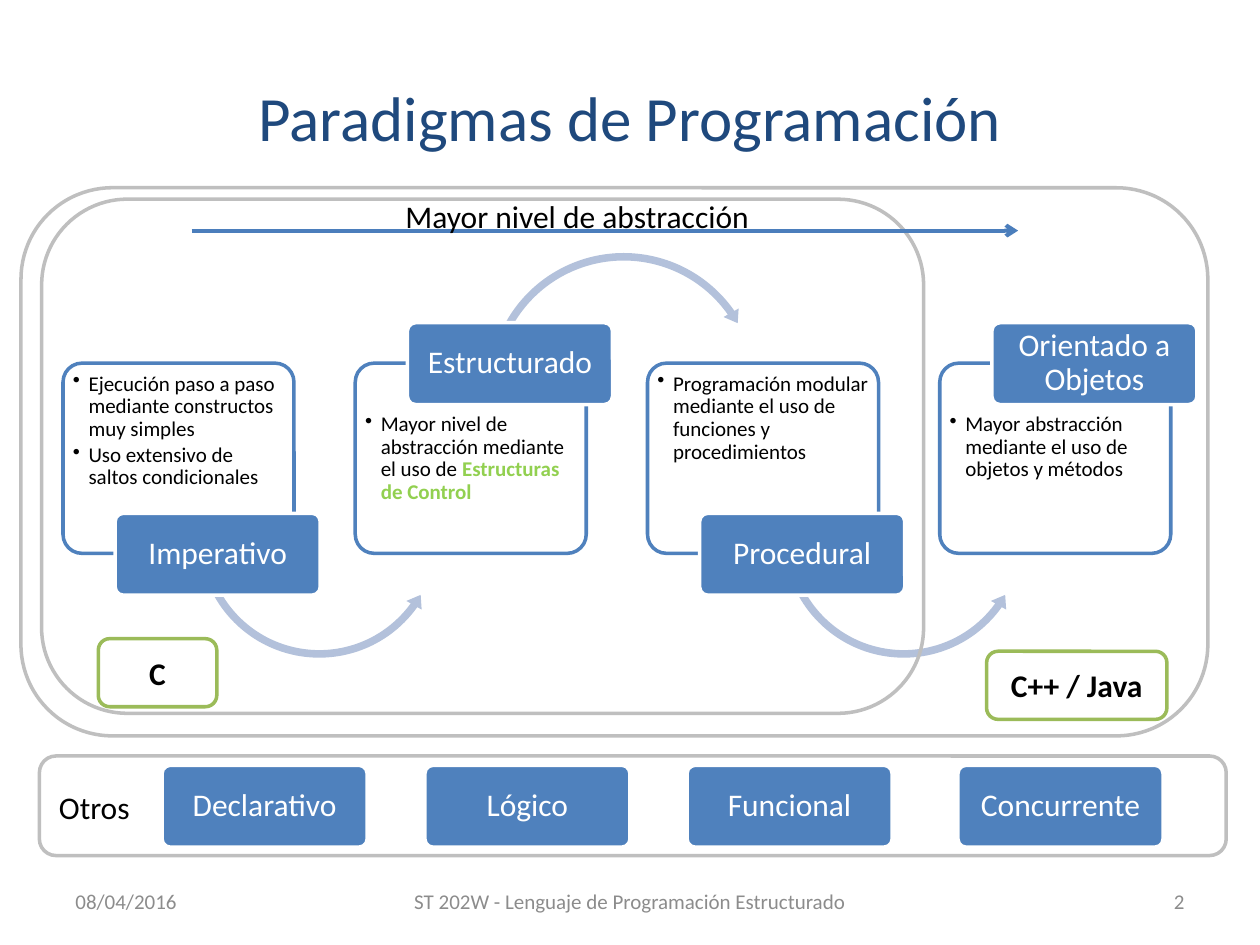
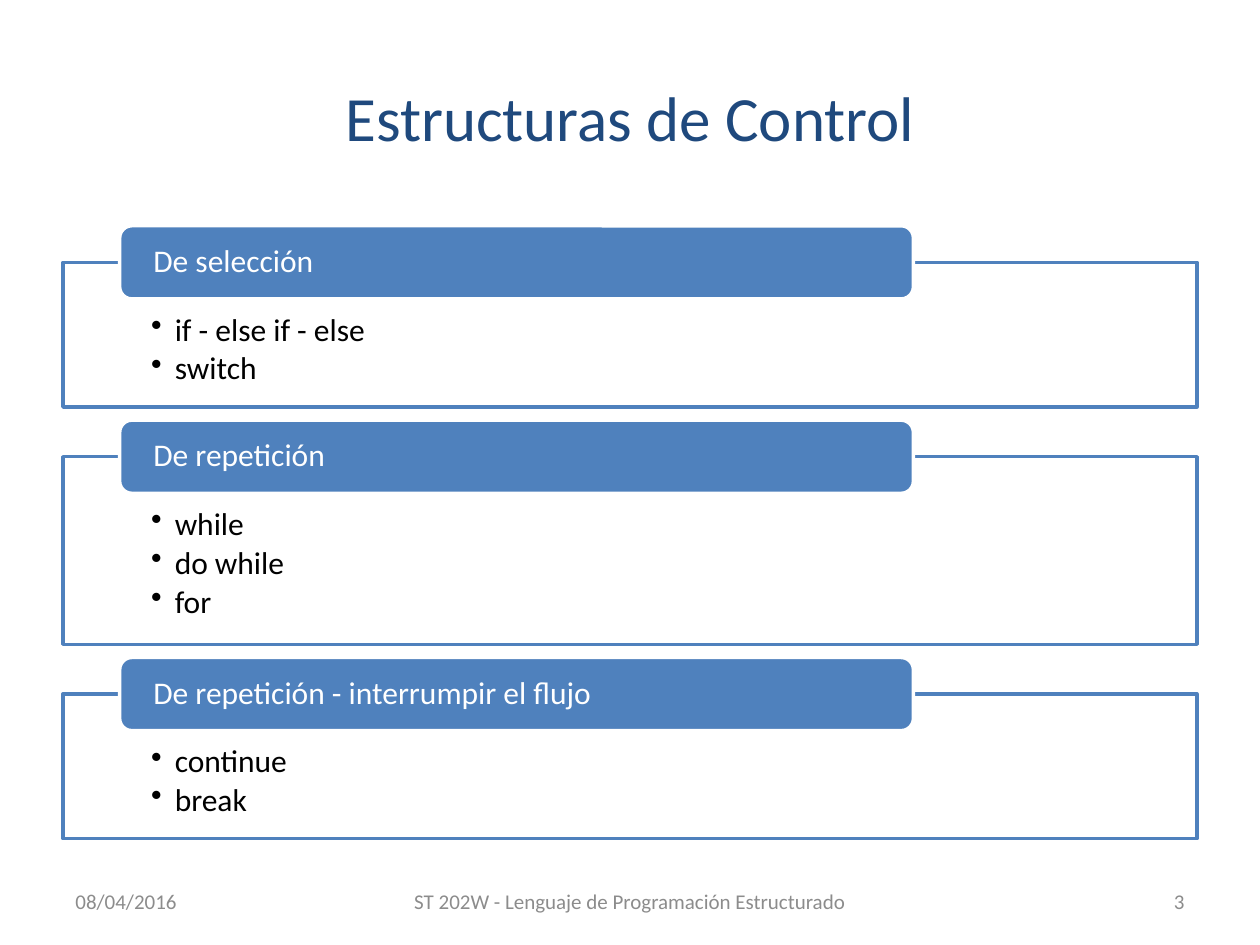
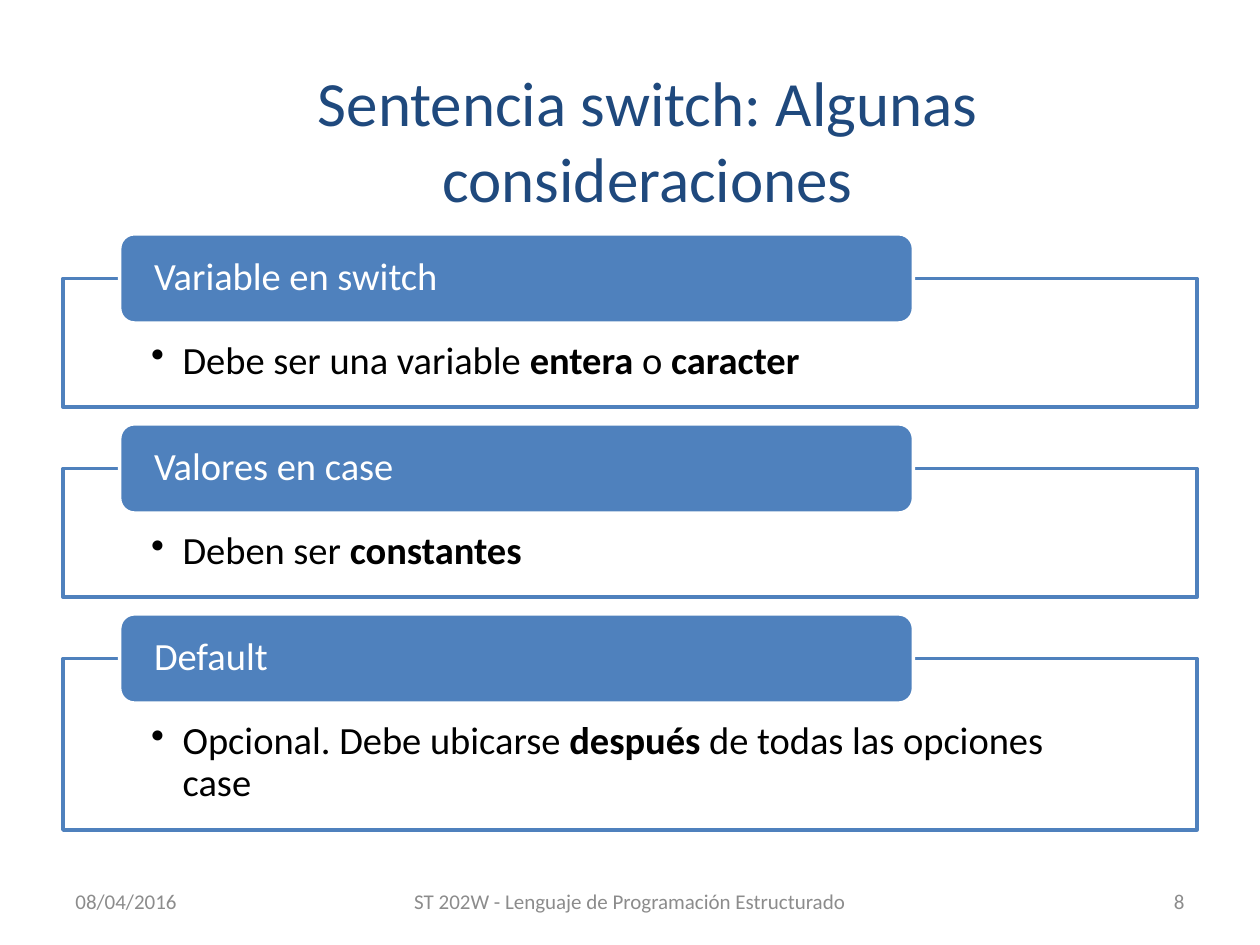
"""Build three slides on programming paradigms and control structures."""
from lxml.etree import SubElement
from pptx import Presentation
from pptx.dml.color import RGBColor
from pptx.enum.shapes import MSO_CONNECTOR, MSO_SHAPE
from pptx.enum.text import MSO_ANCHOR, PP_ALIGN
from pptx.oxml.ns import qn
from pptx.util import Pt

BLUE, NAVY, PALE = "4F81BD", "1F497D", "B3C1DB"
WHITE, BLACK, GREY, SILVER = "FFFFFF", "000000", "8C8C8C", "BFBFBF"
GREEN, LIME = "9BBB59", "92D050"
LEFT, MID, RIGHT = PP_ALIGN.LEFT, PP_ALIGN.CENTER, PP_ALIGN.RIGHT
ROUND = MSO_SHAPE.ROUNDED_RECTANGLE


def box(slide, kind, area, fill=None, line=None, adj=()):
    """Add a preset shape, or a text box when kind is None."""
    area = [Pt(n) for n in area]
    if kind is None:
        return slide.shapes.add_textbox(*area)
    shape = slide.shapes.add_shape(kind, *area)
    shape.shadow.inherit = False
    for i, n in enumerate(adj):
        shape.adjustments[i] = n
    for part, tint in ((shape.fill, fill), (shape.line.fill, line)):
        if tint:
            part.solid()
            part.fore_color.rgb = RGBColor.from_string(tint)
        else:
            part.background()
    if line:
        shape.line.width = Pt(2)
    return shape


def write(shape, paras, size, tint, align=MID, pads=(7.2, 3.6, 7.2, 3.6),
          lead=1, hang=0, strong=None, bold=False):
    """Fill a shape with paragraphs whose every second run is bold."""
    frame = shape.text_frame
    frame.word_wrap = True
    frame.vertical_anchor = MSO_ANCHOR.TOP if hang else MSO_ANCHOR.MIDDLE
    (frame.margin_left, frame.margin_top,
     frame.margin_right, frame.margin_bottom) = [Pt(n) for n in pads]
    for i, runs in enumerate(paras):
        para = frame.add_paragraph() if i else frame.paragraphs[0]
        para.alignment = align
        para.line_spacing = lead
        if hang:
            para.space_after = Pt(0.15 * size)
            props = para._p.get_or_add_pPr()
            props.set("marL", str(Pt(hang)))
            props.set("indent", str(-Pt(hang)))
            SubElement(props, qn("a:buChar")).set("char", "•")
        for j, words in enumerate(runs):
            run = para.add_run()
            run.text = words
            run.font.name = "Calibri"
            run.font.size = Pt(size)
            run.font.bold = bold or j % 2 == 1
            hue = strong if strong and j % 2 else tint
            run.font.color.rgb = RGBColor.from_string(hue)


deck = Presentation()
deck.slide_width, deck.slide_height = Pt(720), Pt(540)

wide = (36, 21.6, 648, 90)
heads = [
    ("Paradigmas de Programación", wide, "2"),
    ("Estructuras de Control", wide, "3"),
    ("Sentencia switch: Algunas consideraciones", (64.8, 22.3, 610.6, 114.5), "8"),
]
slides = []
for name, area, page in heads:
    slide = deck.slides.add_slide(deck.slide_layouts[5])
    title = slide.shapes.title
    title.left, title.top, title.width, title.height = [Pt(n) for n in area]
    write(title, [[name]], 36, NAVY)
    for words, left, width, align in (
        ("08/04/2016", 36, 168, LEFT),
        ("ST 202W - Lenguaje de Programación Estructurado", 228, 264, MID),
        (page, 516, 168, RIGHT),
    ):
        foot = box(slide, None, (left, 500.5, width, 28.8))
        write(foot, [[words]], 12, GREY, align)
    slides.append(slide)

first = slides[0]
cards = [
    ("Imperativo", [["Ejecución paso a paso mediante constructos muy simples"],
                    ["Uso extensivo de saltos condicionales"]]),
    ("Estructurado", [["Mayor nivel de abstracción mediante el uso de ",
                       "Estructuras de Control"]]),
    ("Procedural", [["Programación modular mediante el uso de funciones y "
                     "procedimientos"]]),
    ("Orientado a Objetos", [["Mayor abstracción mediante el uso de objetos y "
                              "métodos"]]),
]
down = (0.03, 3.637, 21.392, 90.245, 0.035)
over = (0.027, 3.23, 195.015, 125.755, 0.031)
tags = []
for i, (name, paras) in enumerate(cards):
    left = 36 + 167 * i
    high = i % 2
    card = box(first, ROUND, (left, 207.5, 132, 108.7), WHITE, BLUE, [0.1])
    write(card, paras, 12, BLACK, LEFT, (2.4, 25.6 if high else 2.4, 2.4, 2.4),
          0.9, 9, LIME)
    if i in (0, 2):
        box(first, MSO_SHAPE.LEFT_CIRCULAR_ARROW,
            (left + 74.8, 235.4, 143.3, 143.3), PALE, adj=down)
    elif i == 1:
        box(first, MSO_SHAPE.CIRCULAR_ARROW,
            (left + 73.5, 141.8, 159.8, 159.8), PALE, adj=over)
    tags.append((name, left + 29.8, 184.4 if high else 293.3))

names = ("Declarativo", "Lógico", "Funcional", "Concurrente")
for name, left in zip(names, (92.6, 242.8, 392.6, 547.4)):
    tags.append((name, left, 437.3))
for name, left, top in tags:
    tag = box(first, ROUND, (left, top, 117.2, 46.8), BLUE, WHITE, [0.1])
    write(tag, [[name]], 18, WHITE, MID, (2.7, 1.8, 2.7, 1.8), 0.9)

for area in ((23.8, 113.8, 504, 293.8), (12, 107.3, 678.2, 313.2),
             (22.5, 432, 678.2, 56.9)):
    box(first, ROUND, area, line=SILVER)
for name, area in (("C", (56.2, 365, 67.7, 38.9)),
                   ("C++ / Java", (563.8, 372.2, 103, 38.9))):
    badge = box(first, ROUND, area, WHITE, GREEN)
    write(badge, [[name]], 18, BLACK, bold=True)

arrow = first.shapes.add_connector(
    MSO_CONNECTOR.STRAIGHT, Pt(109.5), Pt(131.8), Pt(581.8), Pt(131.8))
arrow.line.color.rgb = RGBColor.from_string("4B7EBC")
arrow.line.width = Pt(2.25)
SubElement(arrow.line._get_or_add_ln(), qn("a:tailEnd")).set("type", "arrow")
SubElement(arrow._element.spPr, qn("a:effectLst"))
for words, area in (("Mayor nivel de abstracción", (224.6, 109, 225, 29)),
                    ("Otros", (26.6, 446.6, 62, 29))):
    write(box(first, None, area), [[words]], 18, BLACK, LEFT)

lists = [
    (slides[1], 18, 149.9, 41.8, 28.4, (50.4, 29.5, 50.4, 10), 13.5, [
        ("De selección", 82.7, [["if - else if - else"], ["switch"]]),
        ("De repetición", 107.2, [["while"], ["do while"], ["for"]]),
        ("De repetición - interrumpir el flujo", 82.7, [["continue"], ["break"]]),
    ]),
    (slides[2], 22, 159.1, 51, 35, (50.4, 36, 50.4, 12), 18, [
        ("Variable en switch", 73.6,
         [["Debe ser una variable ", "entera", " o ", "caracter"]]),
        ("Valores en case", 73.6, [["Deben ser ", "constantes"]]),
        ("Default", 98,
         [["Opcional. Debe ubicarse ", "después", " de todas las opciones case"]]),
    ]),
]
for slide, size, top, head, gap, pads, hang, rows in lists:
    for name, tall, paras in rows:
        body = box(slide, MSO_SHAPE.RECTANGLE, (36, top, 648, tall), WHITE, BLUE)
        write(body, paras, size, BLACK, LEFT, pads, 0.9, hang)
        bar = box(slide, ROUND, (68.4, top - head / 2, 453.6, head), BLUE, WHITE)
        write(bar, [[name]], size, WHITE, LEFT, (17.2, 0, 17.2, 0), 0.9)
        top += tall + gap

deck.save("out.pptx")
